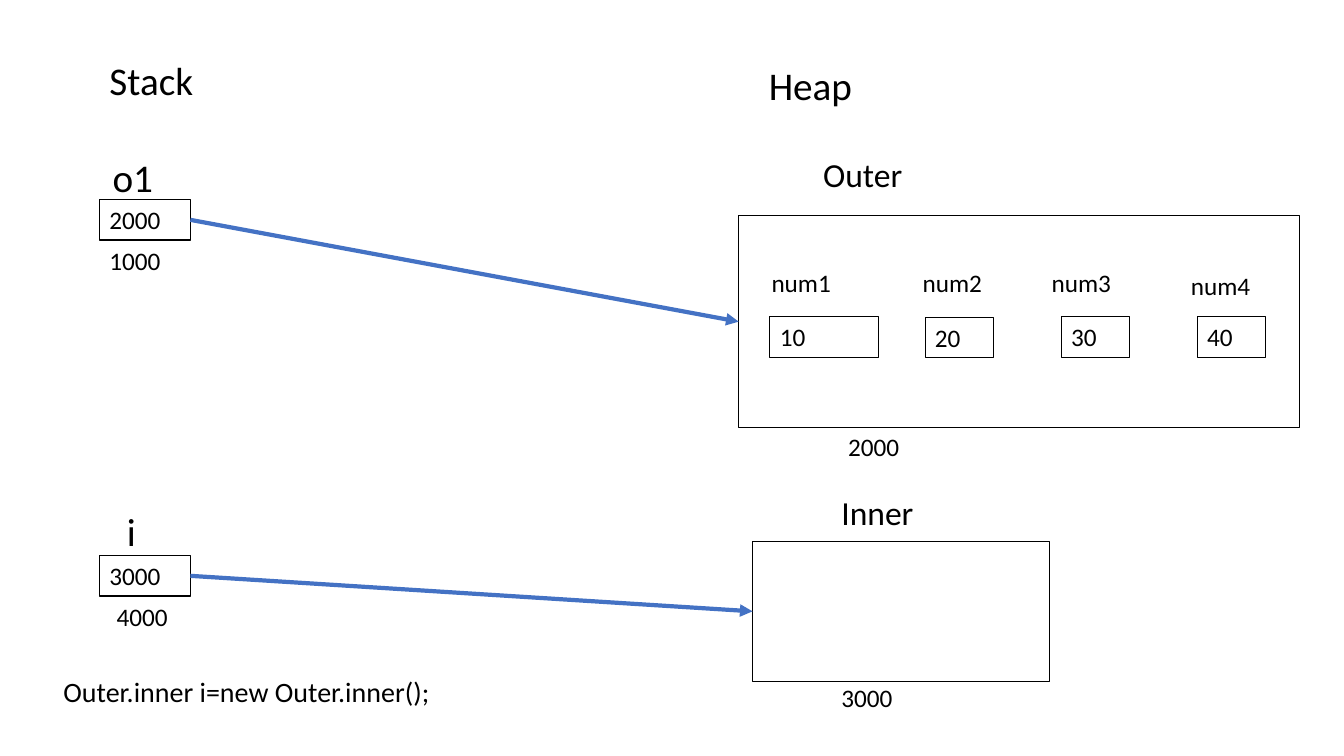
from dataclasses import dataclass
from lxml import etree
from pptx import Presentation
from pptx import util as u
from pptx.dml.color import RGBColor
from pptx.enum import shapes, text
from pptx.oxml.ns import qn

HEADINGS = [("Stack", 2.51, 1.3, 3.53), ("Heap", 19.13, 1.42, 4.83)]
STATEMENT = ("Outer.inner i=new Outer.inner();", 1.35, 16.87, 9.75)

REFERENCES = [
    {
        "variable": ("o1", 2.59, 3.73, 2.29),
        "value": ("2000", 5.03),
        "address": ("1000", 2.51, 6.05, 2.9),
        "class": ("Outer", 18.97, 3.76, 4.34),
        "class_indent": 1.78,
        "object": (18.62, 5.44, 14.15, 5.33),
        "object_address": ("2000", 21.13, 10.74, 2.39),
    },
    {
        "variable": ("i", 2.95, 12.65, 0.99),
        "value": ("3000", 14.0),
        "address": ("4000", 2.69, 15.04, 2.11),
        "class": ("Inner", 20.96, 12.27, 2.74),
        "class_indent": 0.25,
        "object": (18.97, 13.64, 7.49, 3.53),
        "object_address": ("3000", 20.96, 17.07, 3.78),
    },
]

FIELDS = [
    (("num1", 19.2, 6.6, 3.12), ("10", 19.41, 7.98, 2.74)),
    (("num2", 23.01, 6.6, 2.34), ("20", 23.32, 8.0, 1.73)),
    (("num3", 26.26, 6.6, 2.36), ("30", 26.75, 7.98, 1.73)),
    (("num4", 29.77, 6.68, 2.13), ("40", 30.18, 7.98, 1.73)),
]

STACK_LEFT, STACK_WIDTH = 2.51, 2.29
LINE_HEIGHTS = {28: 1.45, 24: 1.27, 20: 1.96, 18: 1.02}


@dataclass(frozen=True)
class Theme:
    font: str = "Calibri"
    ink: RGBColor = RGBColor(0, 0, 0)
    arrow: RGBColor = RGBColor(0x44, 0x72, 0xC4)
    heading: int = 28
    class_name: int = 24
    statement: int = 20
    body: int = 18
    outline: float = 0.75
    arrow_width: float = 3


THEME = Theme()


def write(part, words, size, indent=0.25):
    frame = part.text_frame
    frame.word_wrap = True
    frame.vertical_anchor = text.MSO_ANCHOR.TOP
    frame.margin_left = u.Cm(indent)
    paragraph = frame.paragraphs[0]
    paragraph.text = words
    paragraph.alignment = text.PP_ALIGN.LEFT
    paragraph.font.name = THEME.font
    paragraph.font.size = u.Pt(size)
    paragraph.font.color.rgb = THEME.ink


def label(slide, words, left, top, width, size=THEME.body, indent=0.25):
    area = map(u.Cm, (left, top, width, LINE_HEIGHTS[size]))
    write(slide.shapes.add_textbox(*area), words, size, indent)


def box(slide, left, top, width, height=LINE_HEIGHTS[THEME.body], words=None):
    area = map(u.Cm, (left, top, width, height))
    cell = slide.shapes.add_shape(shapes.MSO_SHAPE.RECTANGLE, *area)
    cell.shadow.inherit = False
    cell.fill.background()
    cell.line.color.rgb = THEME.ink
    cell.line.width = u.Pt(THEME.outline)
    if words:
        write(cell, words, THEME.body)
    return cell


def point(slide, source, target):
    arrow = slide.shapes.add_connector(shapes.MSO_CONNECTOR.STRAIGHT, 0, 0, 0, 0)
    arrow.begin_connect(source, 3)
    arrow.end_connect(target, 1)
    arrow.line.color.rgb = THEME.arrow
    arrow.line.width = u.Pt(THEME.arrow_width)
    etree.SubElement(arrow.line._get_or_add_ln(), qn("a:tailEnd"), type="triangle")
    etree.SubElement(arrow._element.spPr, qn("a:effectLst"))


def main():
    deck = Presentation()
    deck.slide_width, deck.slide_height = u.Cm(33.88), u.Cm(19.05)
    slide = deck.slides.add_slide(deck.slide_layouts[6])

    for heading in HEADINGS:
        label(slide, *heading, size=THEME.heading)

    for reference in REFERENCES:
        label(slide, *reference["variable"], size=THEME.heading)
        value, top = reference["value"]
        variable = box(slide, STACK_LEFT, top, STACK_WIDTH, words=value)
        label(slide, *reference["address"])
        label(slide, *reference["class"], size=THEME.class_name,
              indent=reference["class_indent"])
        instance = box(slide, *reference["object"])
        label(slide, *reference["object_address"])
        point(slide, variable, instance)

    for name, (value, *place) in FIELDS:
        label(slide, *name)
        box(slide, *place, words=value)

    label(slide, *STATEMENT, size=THEME.statement)
    deck.save("out.pptx")


if __name__ == "__main__":
    main()
